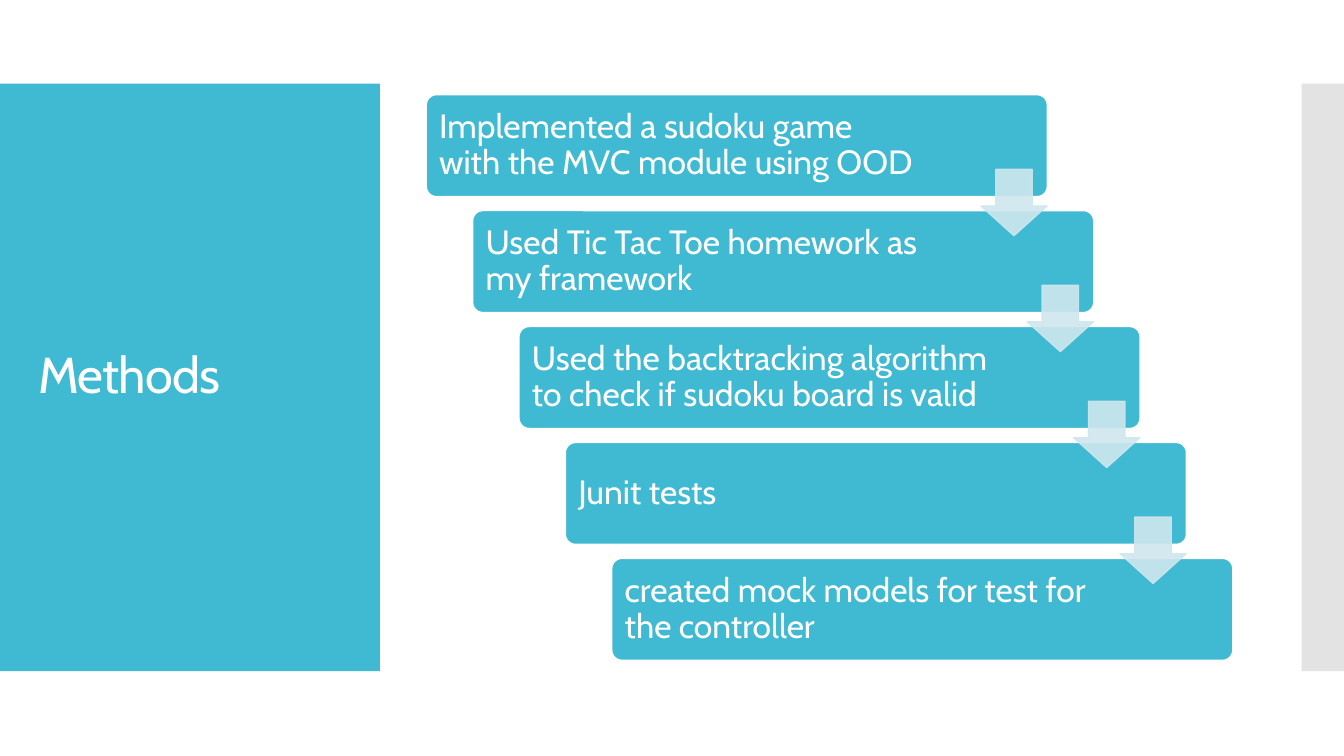
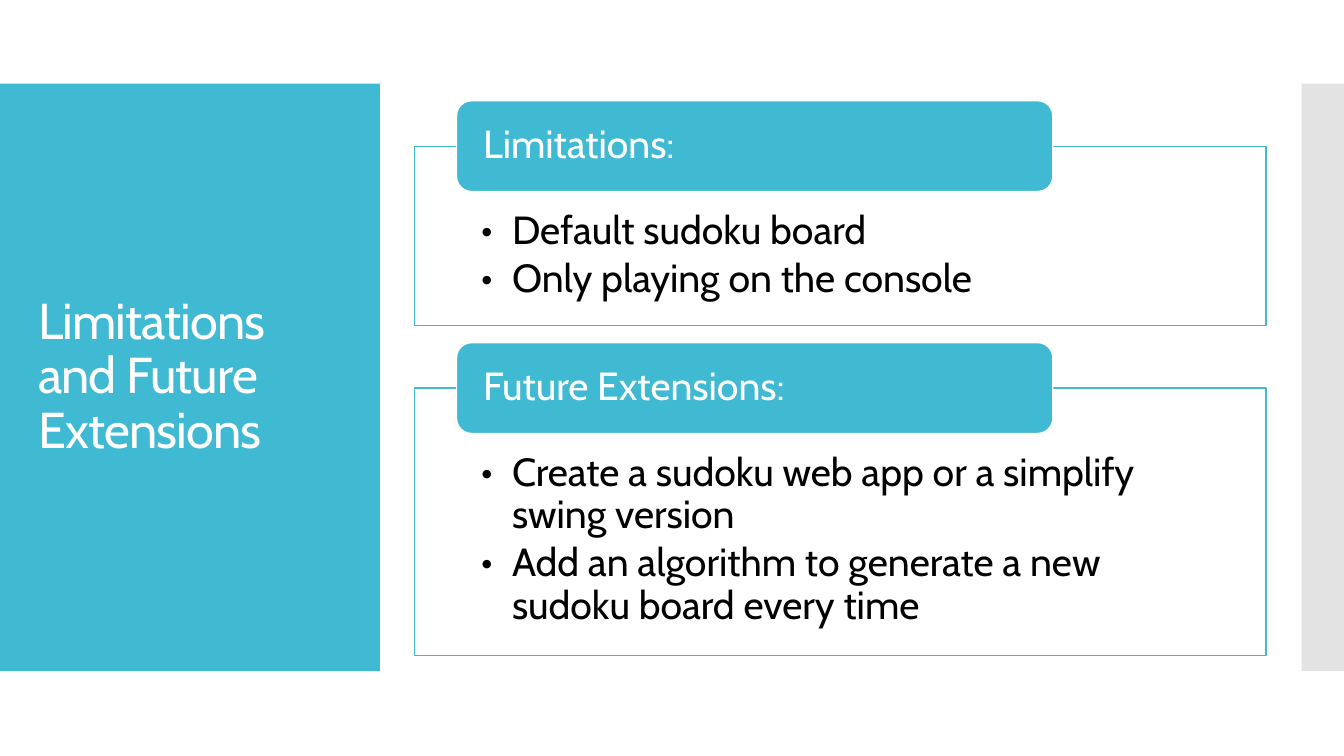
from lxml.etree import SubElement
from pptx import Presentation
from pptx.dml.color import RGBColor
from pptx.enum.shapes import MSO_SHAPE
from pptx.enum.text import MSO_ANCHOR, MSO_AUTO_SIZE, PP_ALIGN
from pptx.oxml.ns import qn
from pptx.util import Inches, Pt

SLIDE_W, SLIDE_H = 40 / 3, 7.5
FONT = "Cabin"
TEAL, PALE_TEAL, GREY = "40BAD2", "CFE7EE", "C8C8C8"
WHITE, BLACK = "FFFFFF", "000000"
LINE_WIDTH = 0.85
BAND_TOP, BAND_H = 0.83, 5.83
TITLE_BAND_W, EDGE_BAND_W = 3.77, 0.42

STEP_LEFT, STEP_TOP = 4.23, 0.94
STEP_W, STEP_H = 6.16, 1.01
STEP_DX, STEP_DY = 0.46, 1.15
ARROW_SIZE = 0.66

PANEL_LEFT, PANEL_W = 4.11, 8.45
HEADER_H, PANEL_GAP = 0.9, 0.17
HEADER_INDENT, HEADER_SHARE = 0.42, 0.7

STEPS = [
    "Implemented a sudoku game with the MVC module using OOD",
    "Used Tic Tac Toe homework as my framework",
    "Used the backtracking algorithm to check if sudoku board is valid",
    "Junit tests",
    "created mock models for test for the controller",
]
SECTIONS = [
    ("Limitations:", 1.78, ["Default sudoku board", "Only playing on the console"]),
    ("Future Extensions:", 2.65, [
        "Create a sudoku web app or a simplify swing version",
        "Add an algorithm to generate a new sudoku board every time",
    ]),
]


def color(hex_value):
    return RGBColor.from_string(hex_value)


def set_opacity(shape, percent):
    """Apply one opacity to every solid colour of the shape's fill and line."""
    for srgb in shape.element.spPr.iter(qn("a:srgbClr")):
        SubElement(srgb, qn("a:alpha"), val=str(percent * 1000))


def add_block(slide, kind, box, fill, line=None, adjustments=()):
    block = slide.shapes.add_shape(kind, *map(Inches, box))
    block.shadow.inherit = False
    block.fill.solid()
    block.fill.fore_color.rgb = color(fill)
    if line:
        block.line.color.rgb = color(line)
        block.line.width = Pt(LINE_WIDTH)
    else:
        block.line.fill.background()
    for index, value in enumerate(adjustments):
        block.adjustments[index] = value
    return block


def write_text(shape, lines, size, ink, insets, anchor=MSO_ANCHOR.MIDDLE):
    """Fill the shape with left-aligned paragraphs; insets run left, top, right, bottom."""
    frame = shape.text_frame
    frame.text = "\n".join(lines)
    frame.word_wrap = True
    frame.auto_size = MSO_AUTO_SIZE.NONE
    frame.vertical_anchor = anchor
    (frame.margin_left, frame.margin_top,
     frame.margin_right, frame.margin_bottom) = map(Inches, insets)
    for paragraph in frame.paragraphs:
        paragraph.alignment = PP_ALIGN.LEFT
        paragraph.line_spacing = 0.9
        paragraph.font.name = FONT
        paragraph.font.size = Pt(size)
        paragraph.font.color.rgb = color(ink)
    return frame.paragraphs


def add_bullet(paragraph, indent):
    paragraph.space_after = Pt(4)
    properties = paragraph._p.get_or_add_pPr()
    properties.set("marL", str(Inches(indent)))
    properties.set("indent", str(-Inches(indent)))
    for tag, attributes in (("a:buFont", {"typeface": FONT}), ("a:buChar", {"char": "•"})):
        part = properties.makeelement(qn(tag), attributes)
        properties.insert_element_before(part, "a:tabLst", "a:defRPr", "a:extLst")


def add_bands_to_layout(slide):
    """Draw the two side bands, then move them to the layout all slides share."""
    title_band = add_block(slide, MSO_SHAPE.RECTANGLE,
                           (0, BAND_TOP, TITLE_BAND_W, BAND_H), TEAL)
    edge_band = add_block(slide, MSO_SHAPE.RECTANGLE,
                          (SLIDE_W - EDGE_BAND_W, BAND_TOP, EDGE_BAND_W, BAND_H), GREY)
    set_opacity(edge_band, 50)
    for position, band in enumerate((title_band, edge_band), start=2):
        slide.slide_layout.shapes.element.insert(position, band.element)


def add_titled_slide(prs, heading):
    slide = prs.slides.add_slide(prs.slide_layouts[5])
    title = slide.shapes.title
    title.left, title.top = Inches(0.28), Inches(1.23)
    title.width, title.height = Inches(3.22), Inches(5.03)
    for paragraph in write_text(title, [heading], 36, WHITE, (0.1, 0.05, 0.1, 0.05)):
        for run in paragraph.runs:
            run._r.get_or_add_rPr().set("spc", "-60")
    return slide


def add_staircase(slide, steps):
    for index, step in enumerate(steps):
        box = (STEP_LEFT + index * STEP_DX, STEP_TOP + index * STEP_DY, STEP_W, STEP_H)
        block = add_block(slide, MSO_SHAPE.ROUNDED_RECTANGLE, box, TEAL, WHITE, [0.1])
        write_text(block, [step], 24, WHITE, (0.1, 0.1, 1.24, 0.1))
    for index in range(len(steps) - 1):
        left = STEP_LEFT + STEP_W - ARROW_SIZE + index * STEP_DX
        top = STEP_TOP + 0.74 + index * STEP_DY
        arrow = add_block(slide, MSO_SHAPE.DOWN_ARROW, (left, top, ARROW_SIZE, ARROW_SIZE),
                          PALE_TEAL, PALE_TEAL, [0.55, 0.45])
        set_opacity(arrow, 90)


def add_section(slide, top, heading, panel_height, points):
    """Draw a bulleted panel with its header over the top edge; return its bottom."""
    panel_top = top + HEADER_H / 2
    panel = add_block(slide, MSO_SHAPE.RECTANGLE,
                      (PANEL_LEFT, panel_top, PANEL_W, panel_height), WHITE, TEAL)
    for paragraph in write_text(panel, points, 28, BLACK,
                                (0.66, 0.64, 0.66, 0.22), MSO_ANCHOR.TOP):
        add_bullet(paragraph, 0.31)
    header = add_block(slide, MSO_SHAPE.ROUNDED_RECTANGLE,
                       (PANEL_LEFT + HEADER_INDENT, top, PANEL_W * HEADER_SHARE, HEADER_H),
                       TEAL, WHITE)
    write_text(header, [heading], 28, WHITE, (0.22, 0, 0.22, 0))
    return panel_top + panel_height


def main():
    prs = Presentation()
    prs.slide_width, prs.slide_height = Inches(SLIDE_W), Inches(SLIDE_H)

    methods = add_titled_slide(prs, "Methods")
    add_bands_to_layout(methods)
    add_staircase(methods, STEPS)

    outlook = add_titled_slide(prs, "Limitations and Future Extensions")
    top = 1
    for heading, panel_height, points in SECTIONS:
        top = add_section(outlook, top, heading, panel_height, points) + PANEL_GAP

    prs.save("out.pptx")


if __name__ == "__main__":
    main()
